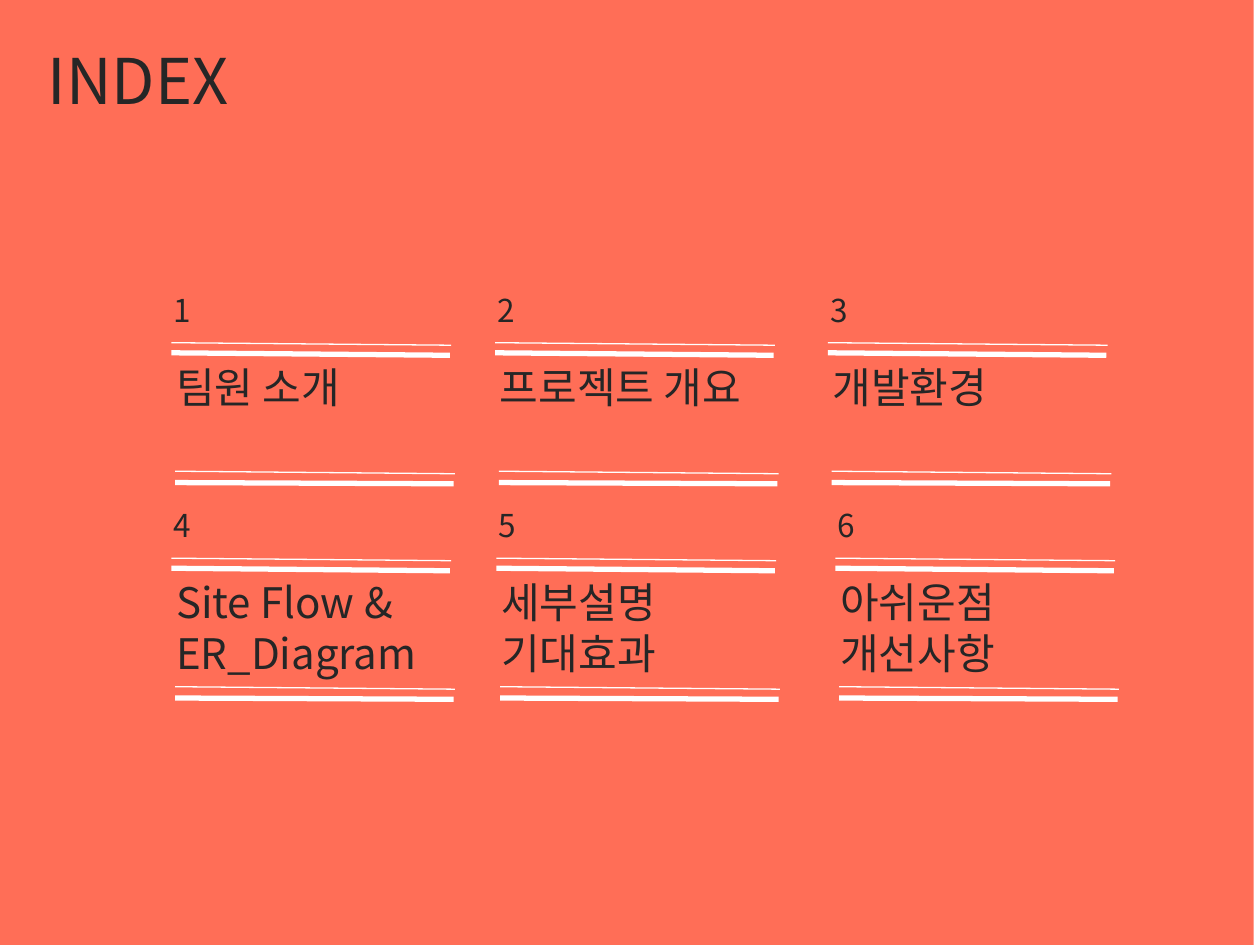
from lxml import etree
from pptx import Presentation
from pptx.dml.color import RGBColor
from pptx.enum import shapes, text
from pptx.oxml import ns
from pptx.util import Inches, Pt

CORAL = RGBColor(0xFF, 0x6E, 0x57)
WHITE = RGBColor(0xFF, 0xFF, 0xFF)
INK = RGBColor(0x26, 0x26, 0x26)
FONT = "Noto Sans CJK KR"
COLUMNS = [[1.28, 3.85, 6.49], [1.28, 3.86, 6.55]]
ROWS = [2.26, 3.97]
ENTRIES = [
    [["팀원 소개"], ["프로젝트 개요"], ["개발환경"]],
    [["Site Flow &", "ER_Diagram"], ["세부설명", "기대효과"], ["아쉬운점", "개선사항"]],
]
RULES = [
    (0.11, 1.48, 2.22, 0.02, 0.75),
    (0.11, 1.57, 2.21, 0.01, 3),
    (0.08, 0.54, 2.21, 0.02, 3),
    (0.08, 0.46, 2.22, 0.02, 0.75),
]


def write_text(box, lines, size, color=INK, font=FONT):
    """Fill a box with one left-aligned paragraph per line."""
    frame = box.text_frame
    frame.word_wrap = True
    frame.auto_size = text.MSO_AUTO_SIZE.SHAPE_TO_FIT_TEXT
    frame.vertical_anchor = text.MSO_ANCHOR.TOP
    for index, line in enumerate(lines):
        para = frame.add_paragraph() if index else frame.paragraphs[0]
        para.alignment = text.PP_ALIGN.LEFT
        span = para.add_run()
        span.text = line
        span.font.size = Pt(size)
        span.font.color.rgb = color
        span.font.name = font
        east_asian = etree.SubElement(span.font._element, ns.qn("a:ea"))
        east_asian.set("typeface", font)


def add_rule(group, left, top, width, drop, weight):
    """Draw one slightly sloping white rule."""
    rule = group.shapes.add_connector(
        shapes.MSO_CONNECTOR.STRAIGHT,
        Inches(left), Inches(top), Inches(left + width), Inches(top + drop))
    rule.line.color.rgb = WHITE
    rule.line.width = Pt(weight)
    etree.SubElement(rule.element.spPr, ns.qn("a:effectLst"))


def add_entry(page, left, top, number, lines):
    """Place a numbered index entry between its two pairs of rules."""
    group = page.shapes.add_group_shape()
    height = 0.5 if len(lines) == 1 else 0.91
    heading = group.shapes.add_textbox(
        Inches(left + 0.02), Inches(top + 0.56), Inches(2.86), Inches(height))
    write_text(heading, lines, size=24)
    label = group.shapes.add_textbox(
        Inches(left), Inches(top), Inches(1.26), Inches(0.4))
    write_text(label, [str(number)], size=18)
    for across, down, width, drop, weight in RULES:
        add_rule(group, left + across, top + down, width, drop, weight)


def add_header(page, left, top, width, height):
    """Place the title over a coral backdrop."""
    title = page.shapes.title
    title.left, title.top = Inches(left), Inches(top)
    title.width, title.height = Inches(width), Inches(height)
    write_text(title, ["INDEX"], size=36)
    backdrop = page.shapes.add_shape(
        shapes.MSO_SHAPE.RECTANGLE, Inches(-0.05), 0, Inches(10), Inches(7.5))
    backdrop.shadow.inherit = False
    backdrop.fill.solid()
    backdrop.fill.fore_color.rgb = CORAL
    backdrop.line.fill.background()
    title.element.addprevious(backdrop.element)


def main():
    """Build and save the index slide."""
    deck = Presentation()
    deck.slide_width, deck.slide_height = Inches(10), Inches(7.5)
    page = deck.slides.add_slide(deck.slide_layouts[5])
    add_header(page, 0.28, 0.28, 3.39, 0.71)
    number = 1
    for top, columns, entries in zip(ROWS, COLUMNS, ENTRIES):
        for left, lines in zip(columns, entries):
            add_entry(page, left, top, number, lines)
            number += 1
    deck.save("out.pptx")


if __name__ == "__main__":
    main()
